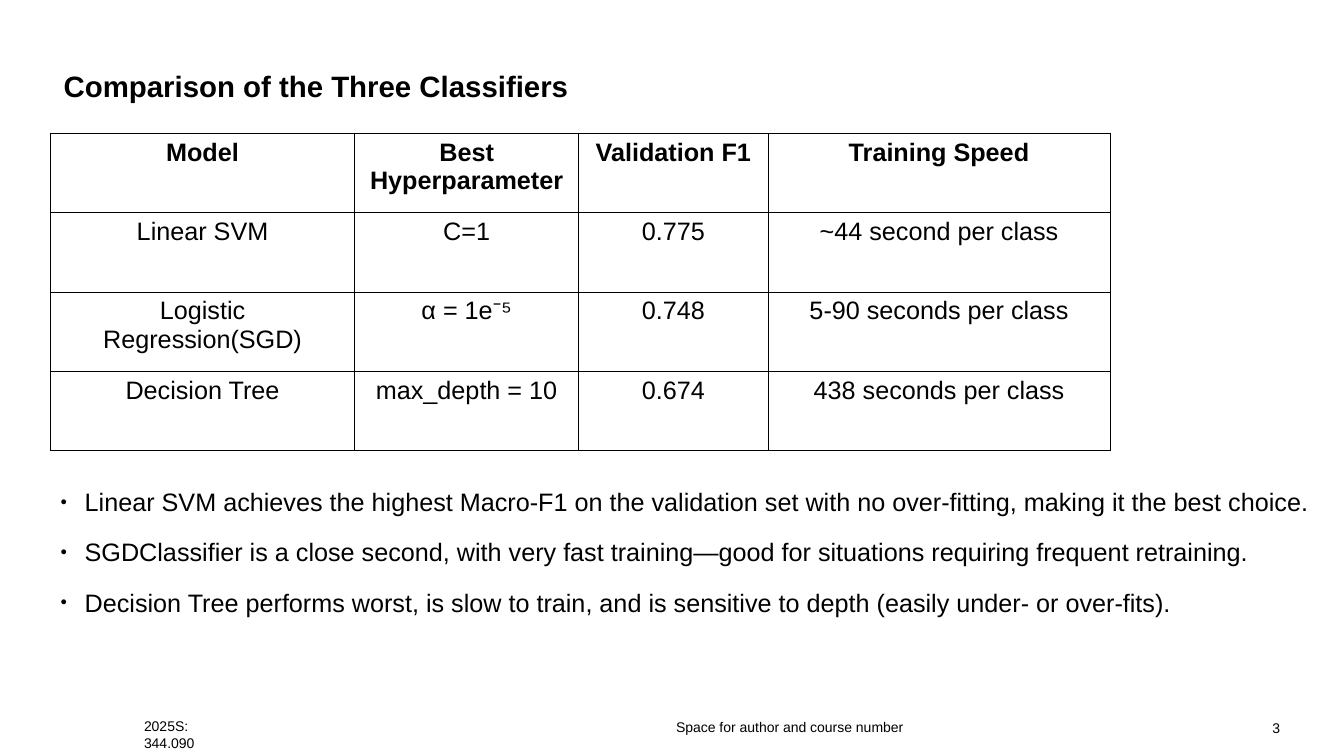
from dataclasses import dataclass

from lxml.etree import SubElement
from pptx import Presentation
from pptx.dml.color import RGBColor
from pptx.enum.text import MSO_ANCHOR, MSO_AUTO_SIZE, PP_ALIGN
from pptx.oxml.ns import qn
from pptx.util import Cm, Pt


@dataclass(frozen=True)
class Theme:
    font: str = "Arial"
    ink: str = "000000"
    title: float = 21
    body: float = 18
    small: float = 10
    rule: float = 0.57
    gap: float = 14.4


THEME = Theme()

WIDTHS = (7.67, 5.64, 4.78, 8.61)
ROW = 2.0
ROWS = (
    ("Model", "Best Hyperparameter", "Validation F1", "Training Speed"),
    ("Linear SVM", "C=1", "0.775", "~44 second per class"),
    ("Logistic Regression(SGD)", "α = 1e⁻⁵", "0.748", "5-90 seconds per class"),
    ("Decision Tree", "max_depth = 10", "0.674", "438 seconds per class"),
)
POINTS = (
    "Linear SVM achieves the highest Macro-F1 on the validation set "
    "with no over-fitting, making it the best choice.",
    "SGDClassifier is a close second, with very fast training—good for "
    "situations requiring frequent retraining.",
    "Decision Tree performs worst, is slow to train, and is sensitive "
    "to depth (easily under- or over-fits).",
)


def place(shape, left, top, width, height):
    shape.left, shape.top = Cm(left), Cm(top)
    shape.width, shape.height = Cm(width), Cm(height)


def add_run(para, text, size, bold=False):
    run = para.add_run()
    run.text = text
    font = run.font
    font.name, font.size, font.bold = THEME.font, Pt(size), bold
    font.color.rgb = RGBColor.from_string(THEME.ink)


def set_frame(frame, anchor):
    frame.word_wrap = True
    frame.auto_size = MSO_AUTO_SIZE.NONE
    frame.vertical_anchor = anchor


def add_title(slide, text):
    title = slide.shapes.title
    place(title, 1.35, 1.6, 30.89, 2.74)
    set_frame(title.text_frame, MSO_ANCHOR.TOP)
    para = title.text_frame.paragraphs[0]
    para.alignment = PP_ALIGN.LEFT
    add_run(para, text, THEME.title, bold=True)


def add_rules(cell):
    """Draw a thin line on all four sides of a cell."""
    props = cell._tc.get_or_add_tcPr()
    for side in ("lnL", "lnR", "lnT", "lnB"):
        line = SubElement(props, qn(f"a:{side}"), w=str(Pt(THEME.rule)))
        fill = SubElement(line, qn("a:solidFill"))
        SubElement(fill, qn("a:srgbClr"), val=THEME.ink)


def add_grid(slide, left, top):
    frame = slide.shapes.add_table(
        len(ROWS), len(WIDTHS), Cm(left), Cm(top),
        Cm(sum(WIDTHS)), Cm(ROW * len(ROWS)))
    table = frame.table
    table.horz_banding = False
    for col, width in zip(table.columns, WIDTHS):
        col.width = Cm(width)
    for i, (row, texts) in enumerate(zip(table.rows, ROWS)):
        row.height = Cm(ROW)
        for cell, text in zip(row.cells, texts):
            add_rules(cell)
            cell.fill.background()
            para = cell.text_frame.paragraphs[0]
            para.alignment = PP_ALIGN.CENTER
            add_run(para, text, THEME.body, bold=i == 0)


def add_bullet(para):
    props = para._p.get_or_add_pPr()
    props.set("marL", str(Cm(0.61)))
    props.set("indent", str(-Cm(0.61)))
    tint = SubElement(props, qn("a:buClr"))
    SubElement(tint, qn("a:srgbClr"), val=THEME.ink)
    SubElement(props, qn("a:buSzPct"), val="45000")
    SubElement(props, qn("a:buFont"), typeface=THEME.font)
    SubElement(props, qn("a:buChar"), char="●")


def add_list(slide, points):
    body = slide.placeholders[1]
    place(body, 1.27, 12.12, 32.39, 5.03)
    frame = body.text_frame
    set_frame(frame, MSO_ANCHOR.TOP)
    for i, text in enumerate(points):
        para = frame.add_paragraph() if i else frame.paragraphs[0]
        add_bullet(para)
        para.space_before = Pt(THEME.gap if i else 0)
        add_run(para, text, THEME.body)


def add_note(slide, text, area, align, anchor):
    """Add a small line of text at the foot of the slide."""
    box = slide.shapes.add_textbox(*map(Cm, area))
    set_frame(box.text_frame, anchor)
    para = box.text_frame.paragraphs[0]
    para.alignment = align
    add_run(para, text, THEME.small)


def main():
    deck = Presentation()
    deck.slide_width, deck.slide_height = Cm(33.87), Cm(19.05)
    slide = deck.slides.add_slide(deck.slide_layouts[1])
    add_note(slide, "2025S: 344.090", (3.38, 17.96, 2.97, 0.69),
             PP_ALIGN.LEFT, MSO_ANCHOR.TOP)
    add_title(slide, "Comparison of the Three Classifiers")
    add_grid(slide, 1.27, 3.36)
    add_list(slide, POINTS)
    add_note(slide, "Space for author and course number ",
             (13.08, 17.63, 10.03, 1.02), PP_ALIGN.RIGHT, MSO_ANCHOR.BOTTOM)
    add_note(slide, "3", (30.61, 17.65, 1.9, 1.02),
             PP_ALIGN.RIGHT, MSO_ANCHOR.BOTTOM)
    deck.save("out.pptx")


if __name__ == "__main__":
    main()
